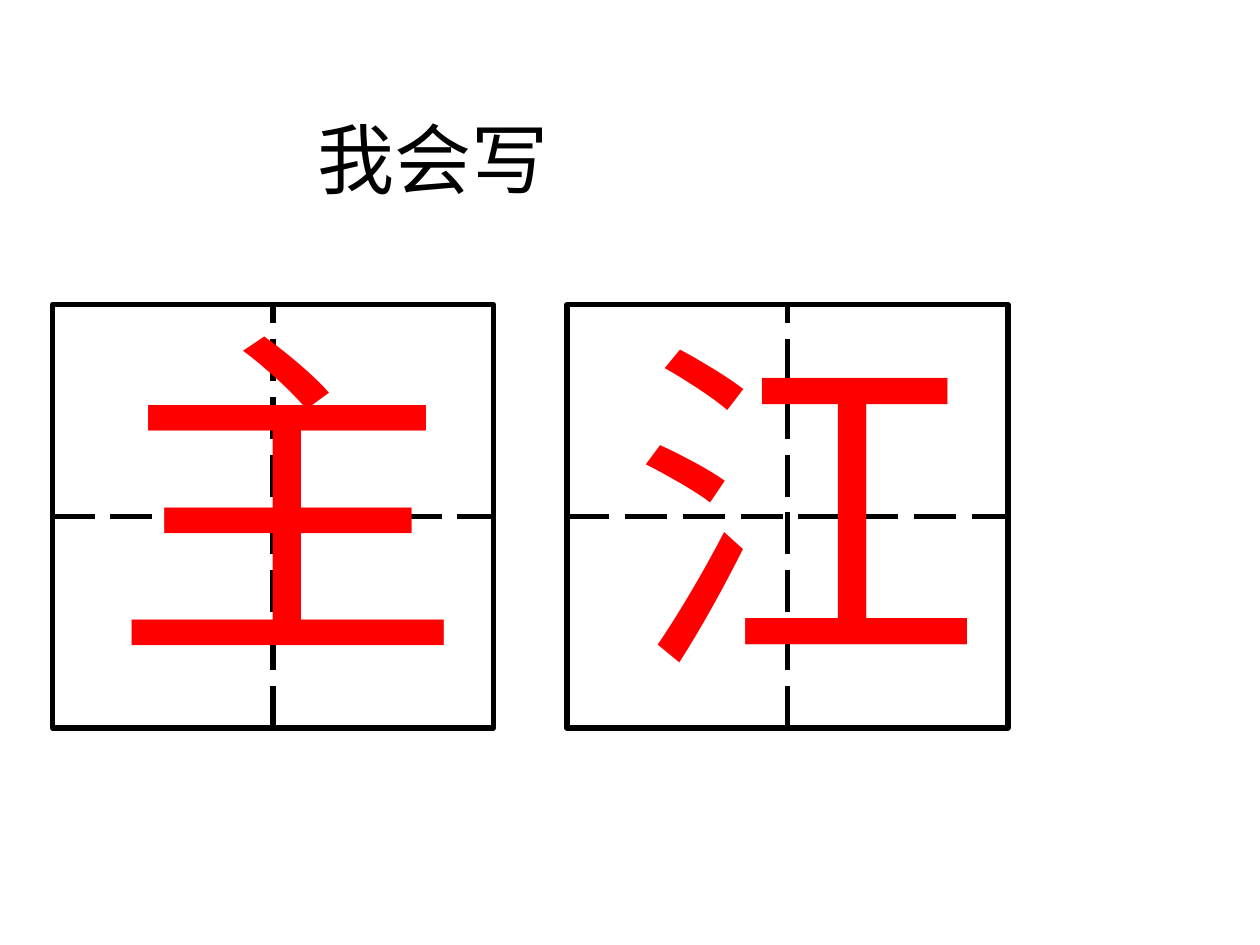
from dataclasses import dataclass

from pptx import Presentation
from pptx.dml.color import RGBColor
from pptx.enum.dml import MSO_LINE
from pptx.enum.shapes import MSO_CONNECTOR, MSO_SHAPE
from pptx.enum.text import MSO_ANCHOR, MSO_AUTO_SIZE, PP_ALIGN
from pptx.oxml.ns import qn
from pptx.util import Pt

RECTANGLE = MSO_SHAPE.RECTANGLE
STRAIGHT = MSO_CONNECTOR.STRAIGHT
LONG_DASH = MSO_LINE.LONG_DASH
TOP = MSO_ANCHOR.TOP
LEFT = PP_ALIGN.LEFT
NO_AUTOFIT = MSO_AUTO_SIZE.NONE
TITLE_ONLY = 5


@dataclass(frozen=True)
class Theme:
    """Colours, type sizes and line width of the slide."""
    font: str = "Times New Roman"
    ink: RGBColor = RGBColor(0, 0, 0)
    character: RGBColor = RGBColor(255, 0, 0)
    title_size: int = 44
    character_size: int = 200
    line_width: int = 3


THEME = Theme()


def set_attributes(target, values):
    """Set each named attribute of the target."""
    for name, value in values.items():
        setattr(target, name, value)


def place(shape, box):
    """Move a shape to a box given in points."""
    names = ("left", "top", "width", "height")
    set_attributes(shape, dict(zip(names, map(Pt, box))))


def write_text(shape, text, size, color, wrap):
    """Put one formatted paragraph in a shape."""
    frame = shape.text_frame
    set_attributes(frame, {"word_wrap": wrap, "auto_size": NO_AUTOFIT,
                           "vertical_anchor": TOP})
    paragraph = frame.paragraphs[0]
    paragraph.alignment = LEFT
    run = paragraph.add_run()
    run.text = text
    set_attributes(run.font, {"name": THEME.font, "size": Pt(size)})
    run.font.color.rgb = color


def add_title(slide, box, text):
    """Fill the title placeholder in the given box."""
    title = slide.shapes.title
    place(title, box)
    write_text(title, text, THEME.title_size, THEME.ink, True)


def style_line(line):
    """Give a line the ink colour and the common width."""
    line.color.rgb = THEME.ink
    line.width = Pt(THEME.line_width)


def add_guide(group, start, end):
    """Draw a dashed guide line between two points."""
    guide = group.shapes.add_connector(STRAIGHT, *map(Pt, start + end))
    style_line(guide.line)
    guide.line.dash_style = LONG_DASH
    properties = guide._element.spPr
    properties.append(properties.makeelement(qn("a:effectLst"), {}))


def add_writing_cell(slide, box, character, character_box):
    """Draw a square with crossed guides and a character inside it."""
    left, top, width, height = box
    middle_x, middle_y = left + width / 2, top + height / 2
    group = slide.shapes.add_group_shape()
    border = group.shapes.add_shape(RECTANGLE, *map(Pt, box))
    border.shadow.inherit = False
    border.fill.background()
    style_line(border.line)
    add_guide(group, (left, middle_y), (left + width, middle_y))
    add_guide(group, (middle_x, top + height), (middle_x, top))

    offset_x, offset_y, text_width, text_height = character_box
    text_box = slide.shapes.add_textbox(
        *map(Pt, (left + offset_x, top + offset_y, text_width, text_height)))
    write_text(text_box, character, THEME.character_size,
               THEME.character, False)


def main():
    """Build and save the writing practice slide."""
    presentation = Presentation()
    set_attributes(presentation, {"slide_width": Pt(720),
                                  "slide_height": Pt(540)})
    slide = presentation.slides.add_slide(
        presentation.slide_layouts[TITLE_ONLY])
    add_title(slide, (174, 60, 180, 60), "我会写")
    cells = (
        (30, "主", (27, -18, 214.4, 248)),
        (324, "江", (30, -12, 222, 248)),
    )
    for left, character, character_box in cells:
        add_writing_cell(slide, (left, 174, 252, 242), character,
                         character_box)
    presentation.save("out.pptx")


if __name__ == "__main__":
    main()
